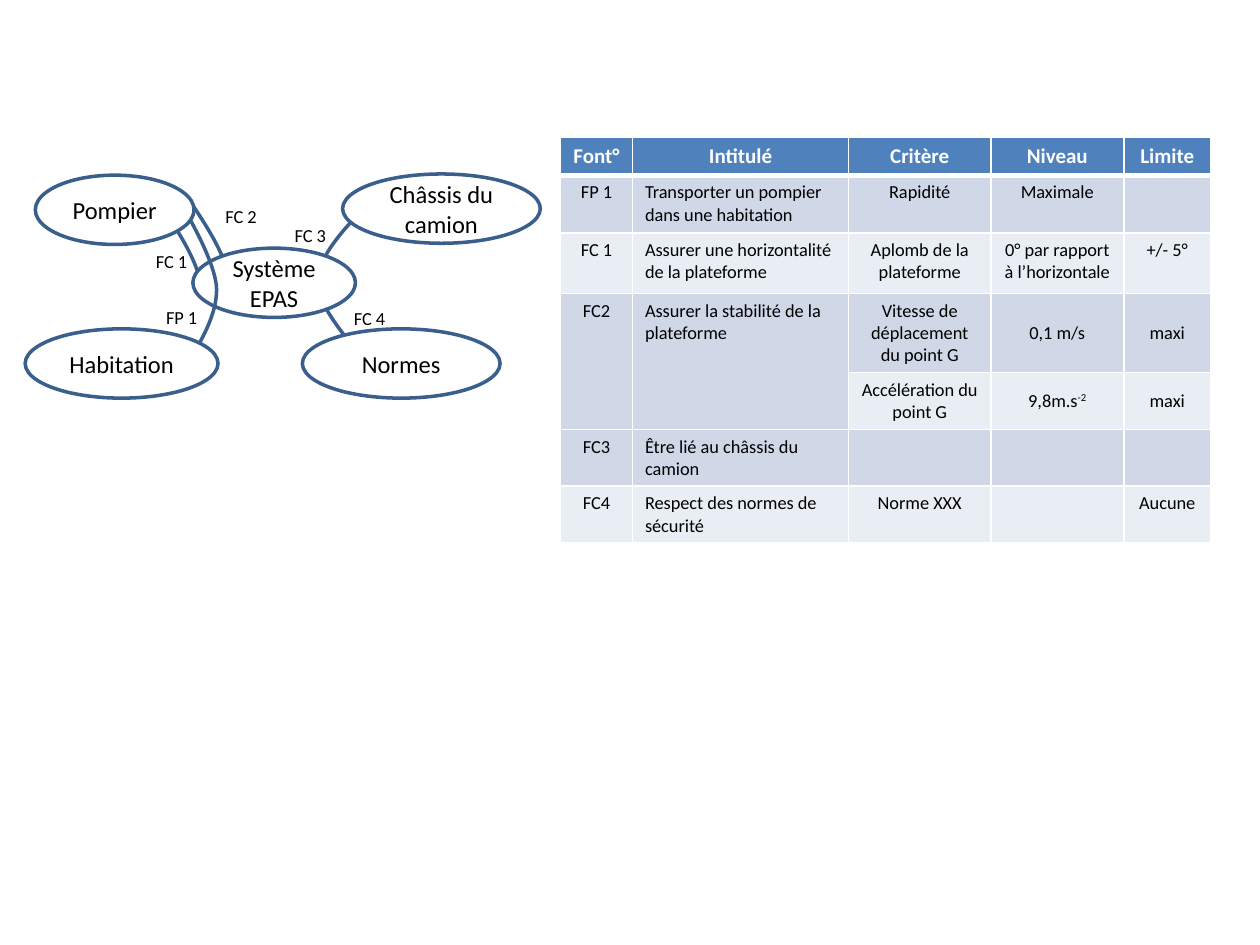
"""Build the EPAS interaction diagram and its table of functions."""
from dataclasses import dataclass

from lxml import etree
from pptx import Presentation
from pptx.dml.color import RGBColor
from pptx.enum.shapes import MSO_SHAPE
from pptx.enum.text import MSO_ANCHOR, PP_ALIGN
from pptx.oxml.ns import qn
from pptx.util import Pt

ELLIPSE = MSO_SHAPE.OVAL
LEFT, CENTER = PP_ALIGN.LEFT, PP_ALIGN.CENTER
TOP, MIDDLE = MSO_ANCHOR.TOP, MSO_ANCHOR.MIDDLE
WHITE = RGBColor(0xFF, 0xFF, 0xFF)
BLACK = RGBColor(0x00, 0x00, 0x00)
OUTLINE = RGBColor(0x3A, 0x5F, 0x8C)
HEADER = RGBColor(0x4F, 0x81, 0xBD)
DARK_BAND = RGBColor(0xD0, 0xD8, 0xE8)
LIGHT_BAND = RGBColor(0xE9, 0xED, 0xF4)
FONT = "Calibri"
ELEMENT_HEIGHT = 39.6


@dataclass(frozen=True)
class Element:
    name: str
    left: float
    top: float
    width: float


@dataclass(frozen=True)
class Label:
    text: str
    left: float
    top: float


@dataclass(frozen=True)
class Link:
    points: tuple[tuple[float, float], ...]


DIAGRAM = (
    Link(((210.2, 116.6), (195.8, 131.8), (181.4, 146.9), (181.4, 162),
          (181.4, 177.1), (210.2, 207.4), (210.2, 207.4))),
    Link(((110.2, 117.4), (121.7, 134.6), (132.5, 152.6), (132.5, 169.9))),
    Link(((92.9, 118.8), (104.4, 136.1), (115.9, 154.1), (115.9, 171.4))),
    Element("Système EPAS", 110.2, 141.8, 92.9),
    Element("Normes", 172.8, 187.9, 113),
    Element("Châssis du camion", 195.8, 99.4, 113),
    Link(((107.3, 207.4), (115.9, 193.7), (123.8, 179.3), (123.8, 165.6),
          (123.8, 151.2), (107.3, 123.1), (107.3, 123.1))),
    Element("Habitation", 14.4, 187.9, 110.2),
    Element("Pompier", 20.2, 100.1, 90.7),
    Label("FC 1", 82, 139.7),
    Label("FP 1", 87.8, 171.4),
    Label("FC 2", 121.7, 113.8),
    Label("FC 3", 161.3, 124.6),
    Label("FC 4", 195.1, 172.1),
)

COLUMN_WIDTHS = (41, 123.6, 81.2, 76, 49.7)
ROW_HEIGHTS = (21, 33, 34.5, 45.4, 32.4, 32.4, 32.4)
SPLIT_ROWS = (3, 4)
FUNCTIONS = (
    ("Font°", "Intitulé", "Critère", "Niveau", "Limite"),
    ("FP 1", "Transporter un pompier dans une habitation", "Rapidité", "Maximale", ""),
    ("FC 1", "Assurer une horizontalité de la plateforme",
     "Aplomb de la plateforme", "0° par rapport à l’horizontale", "+/- 5°"),
    ("FC2", "Assurer la stabilité de la plateforme",
     "Vitesse de déplacement du point G", "0,1 m/s", "maxi"),
    ("", "", "Accélération du point G", "9,8m.s^-2", "maxi"),
    ("FC3", "Être lié au châssis du camion", "", "", ""),
    ("FC4", "Respect des normes de sécurité", "Norme XXX", "", "Aucune"),
)


def write(frame, text: str, size: float, color: RGBColor, align, bold: bool = False) -> None:
    """Write one paragraph, raising whatever follows a caret."""
    paragraph = frame.paragraphs[0]
    paragraph.alignment = align
    font = paragraph.font
    font.name, font.size, font.bold = FONT, Pt(size), bold
    font.color.rgb = color
    base, _, exponent = text.partition("^")
    if base:
        paragraph.add_run().text = base
    if exponent:
        raised = paragraph.add_run()
        raised.text = exponent
        raised.font._element.set("baseline", "30000")


def outline(shape) -> None:
    """Give a shape the diagram's line and no shadow."""
    shape.shadow.inherit = False
    shape.line.color.rgb = OUTLINE
    shape.line.width = Pt(2)


def draw_element(slide, element: Element) -> None:
    """Draw a named ellipse."""
    ellipse = slide.shapes.add_shape(ELLIPSE, Pt(element.left), Pt(element.top),
                                     Pt(element.width), Pt(ELEMENT_HEIGHT))
    outline(ellipse)
    ellipse.fill.solid()
    ellipse.fill.fore_color.rgb = WHITE
    ellipse.text_frame.vertical_anchor = MIDDLE
    write(ellipse.text_frame, element.name, 14, BLACK, CENTER)


def draw_link(slide, link: Link) -> None:
    """Draw cubic curves, each made of three successive points after the start."""
    start, *controls = [(Pt(x), Pt(y)) for x, y in link.points]
    builder = slide.shapes.build_freeform(*start)
    builder.add_line_segments(controls, close=False)
    curve = builder.convert_to_shape()
    outline(curve)
    curve.fill.background()
    segments = list(curve._element.iter(qn("a:lnTo")))
    for first in range(0, len(segments), 3):
        cubic = etree.Element(qn("a:cubicBezTo"))
        segments[first].addprevious(cubic)
        for segment in segments[first:first + 3]:
            cubic.append(segment[0])
            segment.getparent().remove(segment)


def draw_label(slide, label: Label) -> None:
    """Write the name of a function beside its link."""
    box = slide.shapes.add_textbox(Pt(label.left), Pt(label.top), Pt(97.2), Pt(20))
    box.text_frame.word_wrap = True
    write(box.text_frame, label.text, 10.5, BLACK, LEFT)


def border_cell(cell, bottom_width: float) -> None:
    """Put white borders around a cell."""
    properties = cell._tc.get_or_add_tcPr()
    for index, side in enumerate(("lnL", "lnR", "lnT", "lnB")):
        width = bottom_width if side == "lnB" else 1
        border = etree.Element(qn(f"a:{side}"), w=str(Pt(width)))
        fill = etree.SubElement(border, qn("a:solidFill"))
        etree.SubElement(fill, qn("a:srgbClr"), val=str(WHITE))
        properties.insert(index, border)


def draw_functions(slide) -> None:
    """Draw the table of functions."""
    table = slide.shapes.add_table(
        len(ROW_HEIGHTS), len(COLUMN_WIDTHS), Pt(320.4), Pt(78.5),
        Pt(sum(COLUMN_WIDTHS)), Pt(sum(ROW_HEIGHTS))).table
    for column, width in zip(table.columns, COLUMN_WIDTHS):
        column.width = Pt(width)
    for row, height in zip(table.rows, ROW_HEIGHTS):
        row.height = Pt(height)
    for r, texts in enumerate(FUNCTIONS):
        is_header = r == 0
        band = HEADER if is_header else DARK_BAND if r % 2 else LIGHT_BAND
        for c, text in enumerate(texts):
            cell = table.cell(r, c)
            cell.fill.solid()
            cell.fill.fore_color.rgb = band
            border_cell(cell, 3 if is_header else 1)
            cell.vertical_anchor = MIDDLE if r in SPLIT_ROWS and c > 2 else TOP
            write(cell.text_frame, text, 12 if is_header else 10.5,
                  WHITE if is_header else BLACK,
                  LEFT if c == 1 and not is_header else CENTER, is_header)
    first, last = SPLIT_ROWS
    for c in (0, 1):
        table.cell(first, c).merge(table.cell(last, c))


def main() -> None:
    """Build and save the slide."""
    presentation = Presentation()
    presentation.slide_width, presentation.slide_height = Pt(720), Pt(540)
    slide = presentation.slides.add_slide(presentation.slide_layouts[6])
    painters = {Element: draw_element, Link: draw_link, Label: draw_label}
    for part in DIAGRAM:
        painters[type(part)](slide, part)
    draw_functions(slide)
    presentation.save("out.pptx")


main()
